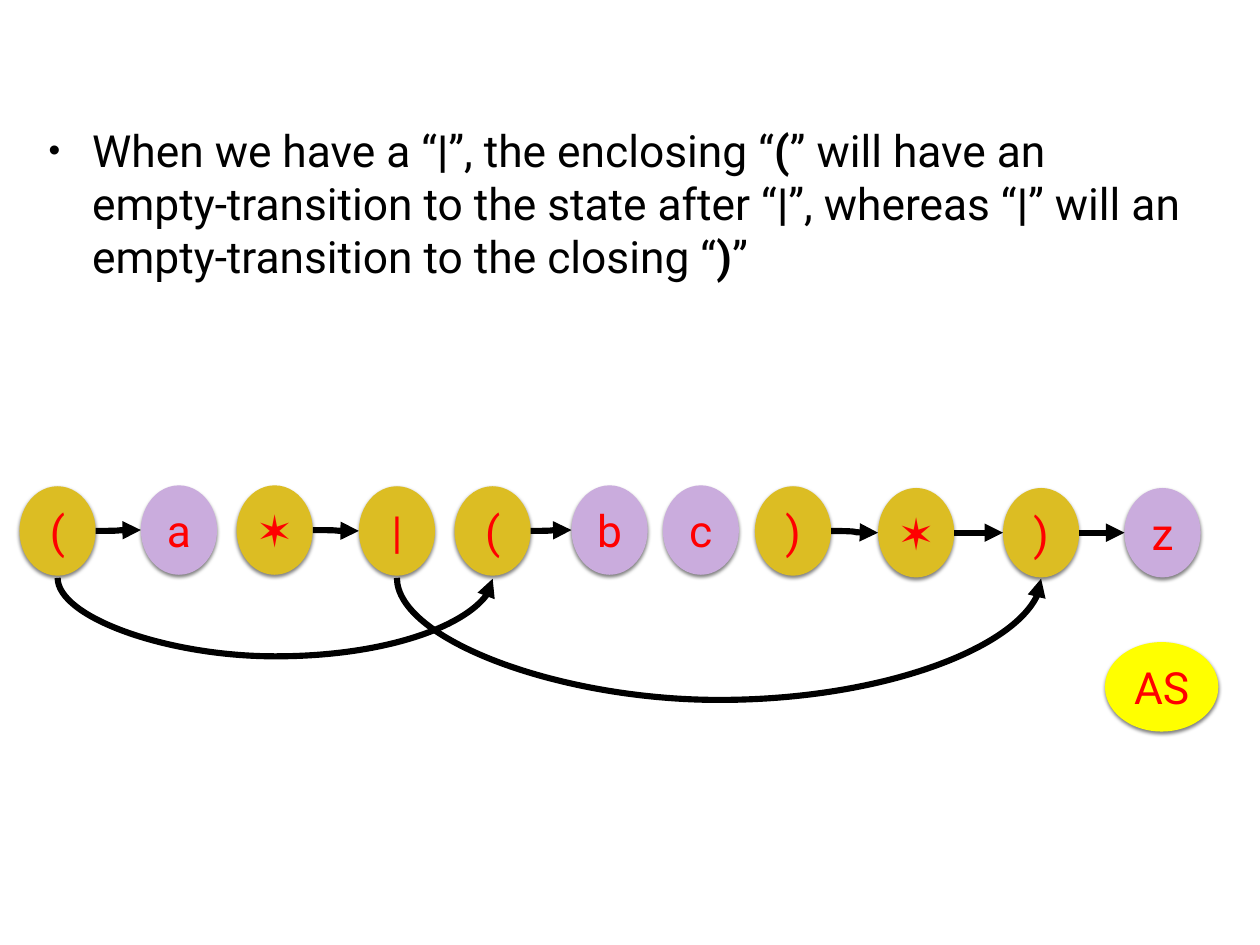
from dataclasses import dataclass

from lxml import etree
from pptx import Presentation
from pptx.dml.color import RGBColor
from pptx.enum.shapes import MSO_CONNECTOR, MSO_SHAPE
from pptx.enum.text import MSO_ANCHOR, MSO_AUTO_SIZE, PP_ALIGN
from pptx.oxml.ns import qn
from pptx.util import Inches, Pt

CURVE = MSO_CONNECTOR.CURVE
ELLIPSE = MSO_SHAPE.OVAL
CENTER = PP_ALIGN.CENTER
LEFT = PP_ALIGN.LEFT
MIDDLE = MSO_ANCHOR.MIDDLE
NO_FIT = MSO_AUTO_SIZE.NONE


@dataclass(frozen=True)
class Theme:
    font: str = "Roboto"
    size: int = 36
    line: int = 5
    text: str = "000000"
    symbol: str = "FF0000"
    operator: str = "DCBD23"
    letter: str = "CAACDD"
    badge: str = "FFFF00"


THEME = Theme()
NODE_W, NODE_H = 0.86, 1.01
INSET = 0.06

# Symbol, left, top and fill of each state
STATES = [
    ("(", 0.22, 5.49, THEME.operator),
    ("a", 1.59, 5.48, THEME.letter),
    ("\u2736", 2.67, 5.48, THEME.operator),
    ("|", 4.05, 5.49, THEME.operator),
    ("(", 5.13, 5.49, THEME.operator),
    ("b", 6.45, 5.48, THEME.letter),
    ("c", 7.48, 5.48, THEME.letter),
    (")", 8.52, 5.49, THEME.operator),
    ("\u2736", 9.91, 5.51, THEME.operator),
    (")", 11.32, 5.51, THEME.operator),
    ("z", 12.69, 5.51, THEME.letter),
]
STEPS_FROM = [0, 2, 4, 7, 8, 9]  # states with an arrow to the next one
JUMPS = [(0, 4, 0.9), (3, 9, 1.4)]  # from state, to state, depth of arc

# Text pieces of the rule; every second piece is bold
RULE = [
    "When we have a \u201c", "|", "\u201d, the enclosing \u201c", "(",
    "\u201d will have an empty-transition to the state after \u201c", "|",
    "\u201d, whereas \u201c", "|",
    "\u201d will an empty-transition to the closing \u201c", ")", "\u201d",
]


def add_xml(parent, tag, **attrs):
    child = etree.SubElement(parent, qn(tag))
    for name, value in attrs.items():
        child.set(name, str(value))
    return child


def style_run(r, color, bold=False):
    r.font.name = THEME.font
    r.font.size = Pt(THEME.size)
    r.font.bold = bold
    r.font.color.rgb = RGBColor.from_string(color)


def set_frame(tf):
    tf.word_wrap = True
    tf.auto_size = NO_FIT
    tf.vertical_anchor = MIDDLE
    tf.margin_left = tf.margin_right = Inches(INSET)
    tf.margin_top = tf.margin_bottom = Inches(INSET)


def fill_rule(body):
    body.left, body.top = Inches(0.49), Inches(0.31)
    body.width, body.height = Inches(12.98), Inches(3.96)
    set_frame(body.text_frame)
    p = body.text_frame.paragraphs[0]
    p.alignment = LEFT
    p.space_before = Pt(42)
    for i, piece in enumerate(RULE):
        r = p.add_run()
        r.text = piece
        style_run(r, THEME.text, bold=i % 2 == 1)
    # Hanging bullet
    pPr = p._p.get_or_add_pPr()
    pPr.set("marL", str(Inches(0.49)))
    pPr.set("indent", str(-Inches(0.49)))
    add_xml(pPr, "a:buSzPct", val=75000)
    add_xml(pPr, "a:buChar", char="\u2022")


def add_shadow(shape):
    shape.shadow.inherit = False
    effects = shape._element.spPr.find(qn("a:effectLst"))
    shadow = add_xml(effects, "a:outerShdw", blurRad=Pt(3), dist=Pt(2),
                     dir=90 * 60000, rotWithShape=0)
    color = add_xml(shadow, "a:srgbClr", val="000000")
    add_xml(color, "a:alpha", val=50000)


def add_state(s, symbol, left, top, fill, width=NODE_W):
    sp = s.shapes.add_shape(ELLIPSE, Inches(left), Inches(top),
                            Inches(width), Inches(NODE_H))
    sp.fill.solid()
    sp.fill.fore_color.rgb = RGBColor.from_string(fill)
    sp.line.fill.background()
    add_shadow(sp)
    set_frame(sp.text_frame)
    p = sp.text_frame.paragraphs[0]
    p.text = symbol
    p.alignment = CENTER
    style_run(p.runs[0], THEME.symbol)


def add_arrow(s, x1, y1, x2, y2):
    arrow = s.shapes.add_connector(CURVE, Inches(x1), Inches(y1),
                                   Inches(x2), Inches(y2))
    arrow.line.width = Pt(THEME.line)
    arrow.line.color.rgb = RGBColor.from_string(THEME.text)
    add_xml(arrow.line._get_or_add_ln(), "a:tailEnd", type="triangle")
    add_xml(arrow._element.spPr, "a:effectLst")
    return arrow


def add_step(s, start, end):
    _, left1, top1, _ = start
    _, left2, top2, _ = end
    add_arrow(s, left1 + NODE_W, top1 + NODE_H / 2, left2, top2 + NODE_H / 2)


def add_jump(s, start, end, depth):
    """Arc below the row: a thin upright curve turned by 270 degrees."""
    x1, x2 = start[1] + NODE_W / 2, end[1] + NODE_W / 2
    mid, half = (x1 + x2) / 2, (x2 - x1) / 2
    y, thin = start[2] + NODE_H + 0.03, 0.01
    arc = add_arrow(s, mid + thin / 2, y - half, mid - thin / 2, y + half)
    spPr = arc._element.spPr
    spPr.find(qn("a:xfrm")).set("rot", str(270 * 60000))
    guides = spPr.find(qn("a:prstGeom")).find(qn("a:avLst"))
    add_xml(guides, "a:gd", name="adj1",
            fmla=f"val {round(depth / thin * 100000)}")


def main():
    prs = Presentation()
    prs.slide_width, prs.slide_height = Inches(14.22), Inches(10.67)
    s = prs.slides.add_slide(prs.slide_layouts[1])

    # Rule text in the body placeholder; the slide has no title
    title = s.shapes.title._element
    title.getparent().remove(title)
    fill_rule(s.placeholders[1])

    # Row of states
    for state in STATES:
        add_state(s, *state)

    # Empty transitions
    for i in STEPS_FROM:
        add_step(s, STATES[i], STATES[i + 1])
    for i, j, depth in JUMPS:
        add_jump(s, STATES[i], STATES[j], depth)

    # Badge
    add_state(s, "AS", 12.47, 7.25, THEME.badge, width=1.28)

    prs.save("out.pptx")


main()
